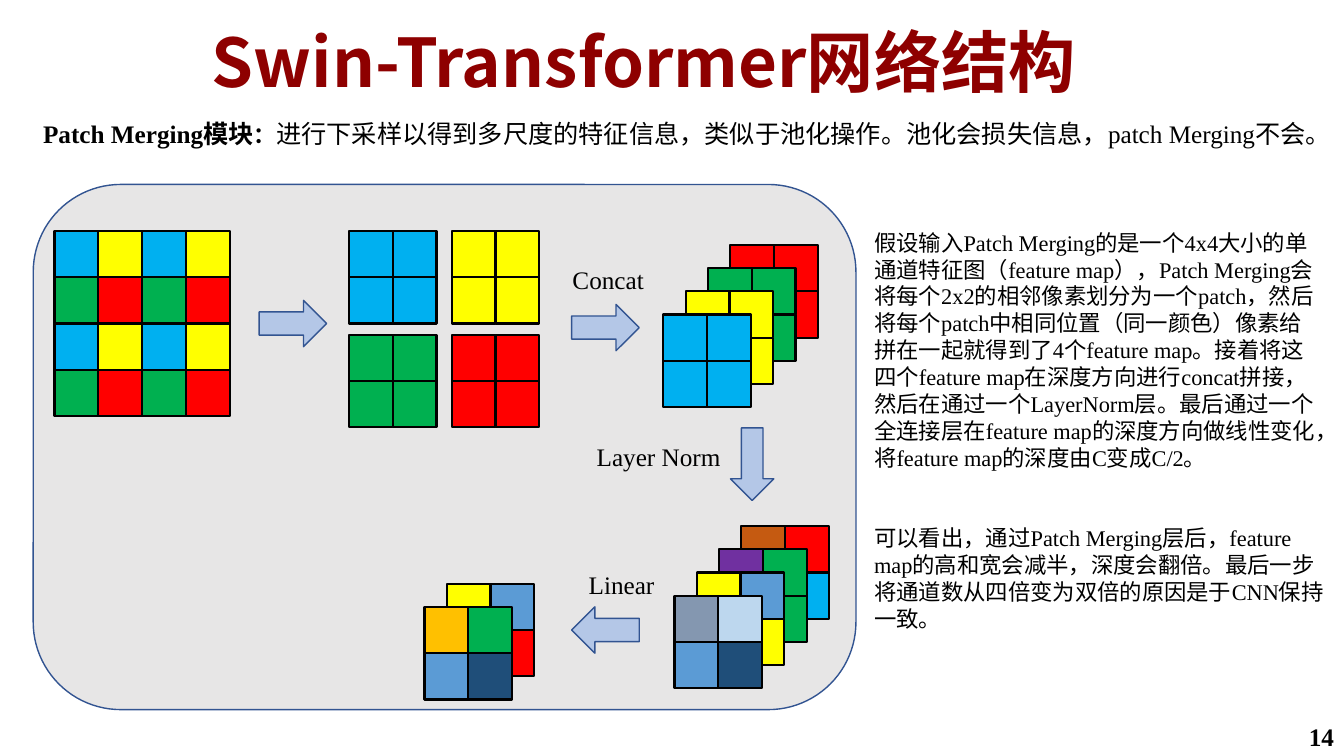
from dataclasses import dataclass

import pptx
import pptx.dml.color
import pptx.enum.shapes
import pptx.enum.text
import pptx.oxml
import pptx.oxml.ns
import pptx.util
from pptx.util import Inches

KIND = pptx.enum.shapes.MSO_SHAPE
ALIGN = pptx.enum.text.PP_ALIGN
ANCHOR = pptx.enum.text.MSO_ANCHOR


@dataclass(frozen=True)
class Theme:
    serif: str = "Times New Roman"
    sans: str = "Noto Sans CJK SC"
    title: str = "8E0000"
    ink: str = "000000"
    panel: str = "E7E6E6"
    arrow: str = "B4C7E7"
    edge: str = "325491"
    big: int = 48
    mid: int = 18
    small: int = 16


THEME = Theme()
PAINT = {
    "c": "00B0F0", "y": "FFFF00", "g": "00B050", "r": "FF0000",
    "o": "C55A11", "p": "7030A0", "b": "5B9BD5", "n": "1F4E79",
    "s": "8497B0", "l": "BDD7EE", "a": "FFC000",
}
GAP = "."
CELL_W, CELL_H = 0.87 / 2, 0.92 / 2
STEP_X, STEP_Y = -0.22, 0.23

DETAIL = (
    "假设输入Patch Merging的是一个4x4大小的单通道特征图（feature map），"
    "Patch Merging会将每个2x2的相邻像素划分为一个patch，"
    "然后将每个patch中相同位置（同一颜色）像素给拼在一起就得到了4个feature map。"
    "接着将这四个feature map在深度方向进行concat拼接，"
    "然后在通过一个LayerNorm层。"
    "最后通过一个全连接层在feature map的深度方向做线性变化，"
    "将feature map的深度由C变成C/2。"
)
RESULT = (
    "可以看出，通过Patch Merging层后，feature map的高和宽会减半，深度会翻倍。"
    "最后一步将通道数从四倍变为双倍的原因是于CNN保持一致。"
)


def color(code):
    return pptx.dml.color.RGBColor.from_string(code)


def write(para, text, size=THEME.mid, face=THEME.serif, ink=THEME.ink, bold=False):
    run = para.add_run()
    run.text = text
    font = run.font
    font.size = pptx.util.Pt(size)
    font.bold = bold
    font.color.rgb = color(ink)
    font.name = face
    east = pptx.oxml.parse_xml(
        f'<a:ea {pptx.oxml.ns.nsdecls("a")} typeface="{THEME.sans}"/>'
    )
    run._r.get_or_add_rPr().append(east)


def place(item, left, top, width, height):
    item.left, item.top = Inches(left), Inches(top)
    item.width, item.height = Inches(width), Inches(height)


def frame(item, anchor=ANCHOR.TOP):
    body = item.text_frame
    body.word_wrap = True
    body.auto_size = pptx.enum.text.MSO_AUTO_SIZE.NONE
    body.vertical_anchor = anchor
    return body


def label(shapes, left, top, width, height, anchor=ANCHOR.TOP):
    box = shapes.add_textbox(*map(Inches, (left, top, width, height)))
    return frame(box, anchor).paragraphs[0]


def draw(shapes, kind, left, top, width, height, fill, line, weight, turn=0):
    shape = shapes.add_shape(kind, *map(Inches, (left, top, width, height)))
    shape.shadow.inherit = False
    shape.fill.solid()
    shape.fill.fore_color.rgb = color(fill)
    shape.line.color.rgb = color(line)
    shape.line.width = pptx.util.Pt(weight)
    shape.rotation = turn


def grid(shapes, left, top, rows):
    for row, codes in enumerate(rows.split()):
        for col, code in enumerate(codes):
            if code != GAP:
                draw(shapes, KIND.RECTANGLE,
                     left + col * CELL_W, top + row * CELL_H,
                     CELL_W, CELL_H, PAINT[code], THEME.ink, 1.5)


def stack(shapes, left, top, cards):
    for depth, rows in enumerate(cards):
        grid(shapes, left + depth * STEP_X, top + depth * STEP_Y, rows)


def arrow(shapes, left, top, width=0.67, height=0.46, turn=0):
    draw(shapes, KIND.RIGHT_ARROW, left, top, width, height,
         THEME.arrow, THEME.edge, 1, turn)


def diagram(shapes):
    draw(shapes, KIND.ROUNDED_RECTANGLE, 0.33, 1.83, 8.16, 5.21,
         THEME.panel, THEME.edge, 1)
    grid(shapes, 0.54, 2.29, "cycy grgr cycy grgr")
    for spot, code in enumerate("cygr"):
        row, col = divmod(spot, 2)
        grid(shapes, 3.46 + col * 1.02, 2.29 + row * 1.03, f"{code * 2} {code * 2}")
    stack(shapes, 7.24, 2.43, ["rr .r", "gg .g", "yy .y", "cc cc"])
    stack(shapes, 7.35, 5.22, ["or .c", "pg .g", "yb .y", "sl bn"])
    stack(shapes, 4.43, 5.79, ["yb .r", "ag bn"])
    arrow(shapes, 2.57, 2.98)
    arrow(shapes, 5.67, 3.02)
    arrow(shapes, 7.1, 4.39, 0.72, 0.43, turn=90)
    arrow(shapes, 5.67, 6.02, turn=180)
    for text, left, top, width in (
        ("Concat", 5.58, 2.57, 1.13),
        ("Layer Norm", 5.82, 4.33, 1.67),
        ("Linear", 5.74, 5.6, 1.28),
    ):
        write(label(shapes, left, top, width, 0.4), text)


def heading(item):
    place(item, 0.14, 0.15, 12.49, 0.91)
    para = frame(item, ANCHOR.MIDDLE).paragraphs[0]
    para.alignment = ALIGN.CENTER
    write(para, "Swin-Transformer网络结构", size=THEME.big, face=THEME.sans,
          ink=THEME.title, bold=True)


def notes(item):
    place(item, 8.57, 2.22, 4.66, 4.14)
    body = frame(item)
    for para, text, gap in (
        (body.paragraphs[0], DETAIL, 0),
        (body.add_paragraph(), RESULT, 38.5),
    ):
        props = para._p.get_or_add_pPr()
        props.set("marL", "0")
        props.set("indent", "0")
        para.space_before = pptx.util.Pt(gap)
        props.append(pptx.oxml.parse_xml(
            f'<a:buNone {pptx.oxml.ns.nsdecls("a")}/>'
        ))
        write(para, text, size=THEME.small)


def lead(shapes):
    para = label(shapes, 0.33, 1.12, 12.8, 0.71)
    write(para, "Patch Merging模块", bold=True)
    write(para, "：", size=THEME.small, bold=True)
    write(para, "进行下采样以得到多尺度的特征信息，类似于池化操作。"
                "池化会损失信息，patch Merging不会。")


def number(shapes):
    para = label(shapes, 12.75, 7.12, 0.58, 0.38, ANCHOR.MIDDLE)
    para.alignment = ALIGN.RIGHT
    write(para, "14", bold=True)


def main():
    deck = pptx.Presentation()
    deck.slide_width, deck.slide_height = Inches(13.33), Inches(7.5)
    slide = deck.slides.add_slide(deck.slide_layouts[1])
    heading(slide.shapes.title)
    notes(slide.placeholders[1])
    lead(slide.shapes)
    diagram(slide.shapes.add_group_shape().shapes)
    number(slide.shapes)
    deck.save("out.pptx")


if __name__ == "__main__":
    main()
